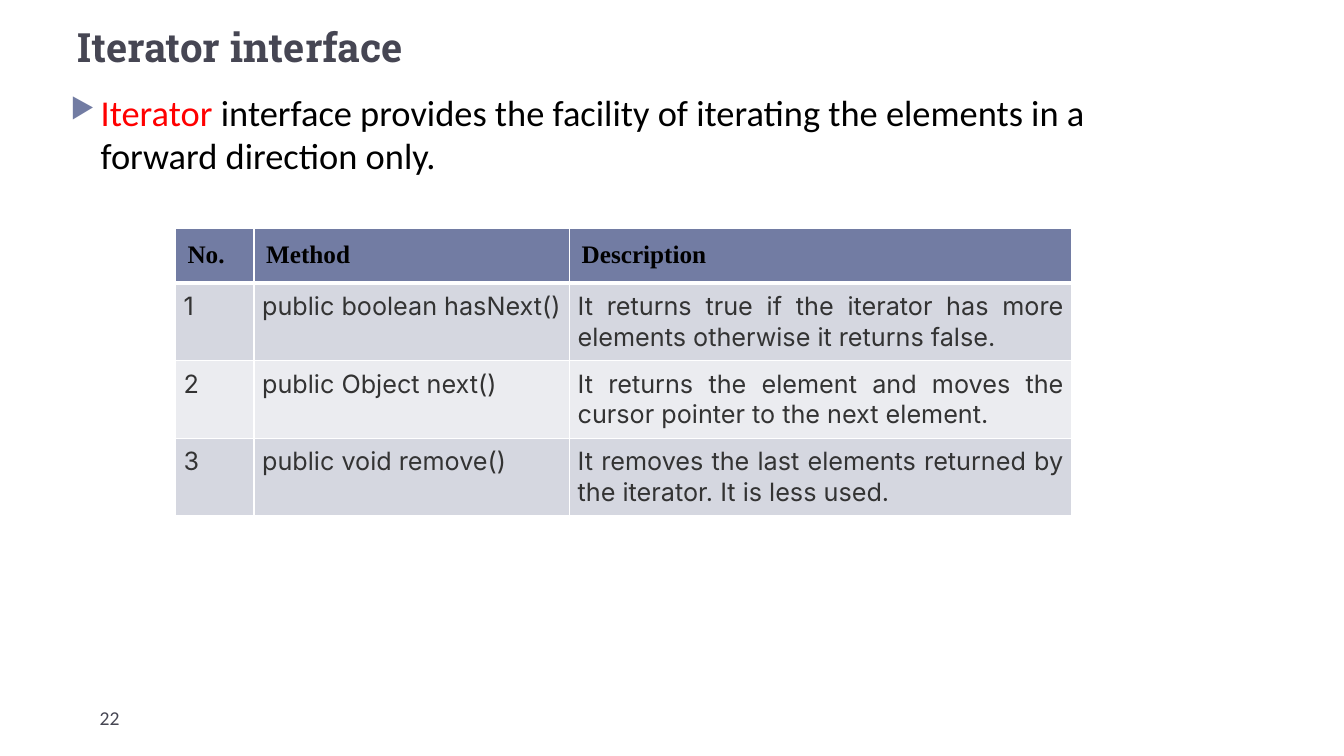
from lxml.etree import SubElement
from pptx import Presentation
from pptx.dml.color import RGBColor
from pptx.enum.text import MSO_ANCHOR as Anchor, PP_ALIGN as Align
from pptx.oxml.ns import qn
from pptx.util import Inches, Pt

INK = "464653"
ACCENT = "727CA3"
WHITE = "FFFFFF"
BANDS = ("D5D7E0", "EBECF0")
COLUMNS = (0.78, 3.13, 4.98)
HEADER_HEIGHT = 0.52
ROW_HEIGHT = 0.77
METHODS = (
    ("No.", "Method", "Description"),
    ("1", "public boolean hasNext()",
     "It returns true if the iterator has more elements otherwise it returns false."),
    ("2", "public Object next()",
     "It returns the element and moves the cursor pointer to the next element."),
    ("3", "public void remove()",
     "It removes the last elements returned by the iterator. It is less used."),
)


def rgb(color):
    return RGBColor.from_string(color)


def write(paragraph, text, size=18, font="Calibri", color="000000", bold=False):
    run = paragraph.add_run()
    run.text = text
    run.font.size = Pt(size)
    run.font.name = font
    run.font.bold = bold
    run.font.color.rgb = rgb(color)


def add_text(slide, left, top, width, height):
    frame = slide.shapes.add_textbox(
        Inches(left), Inches(top), Inches(width), Inches(height)).text_frame
    frame.word_wrap = True
    return frame.paragraphs[0]


def add_bullet(paragraph, symbol, color, percent, indent):
    paragraph.space_before = Pt(6)
    props = paragraph._p.get_or_add_pPr()
    props.set("marL", str(Inches(indent)))
    props.set("indent", str(-Inches(indent)))
    bullet_color = SubElement(props, qn("a:buClr"))
    SubElement(bullet_color, qn("a:srgbClr"), val=color)
    SubElement(props, qn("a:buSzPct"), val=str(percent * 1000))
    SubElement(props, qn("a:buChar"), char=symbol)


def add_borders(cell, color, bottom):
    props = cell._tc.get_or_add_tcPr()
    widths = {"a:lnL": 1, "a:lnR": 1, "a:lnT": 1, "a:lnB": bottom}
    for position, (side, width) in enumerate(widths.items()):
        line = SubElement(props, qn(side), w=str(Pt(width)))
        fill = SubElement(line, qn("a:solidFill"))
        SubElement(fill, qn("a:srgbClr"), val=color)
        props.insert(position, line)


def fill_cell(cell, text, row):
    header = row == 0
    inset = Inches(0.12 if header else 0.08)
    cell.margin_left = cell.margin_right = inset
    cell.margin_top = cell.margin_bottom = inset
    cell.vertical_anchor = Anchor.TOP
    cell.fill.solid()
    cell.fill.fore_color.rgb = rgb(ACCENT if header else BANDS[(row - 1) % 2])
    add_borders(cell, WHITE, bottom=3 if header else 1)
    paragraph = cell.text_frame.paragraphs[0]
    if header:
        write(paragraph, text, font="Times New Roman", bold=True)
    else:
        paragraph.alignment = Align.JUSTIFY
        write(paragraph, text, font="Inter", color="333333")


def add_methods(slide, left, top):
    height = HEADER_HEIGHT + ROW_HEIGHT * (len(METHODS) - 1)
    table = slide.shapes.add_table(
        len(METHODS), len(COLUMNS), Inches(left), Inches(top),
        Inches(sum(COLUMNS)), Inches(height)).table
    for column, width in zip(table.columns, COLUMNS):
        column.width = Inches(width)
    for row, texts in enumerate(METHODS):
        table.rows[row].height = Inches(ROW_HEIGHT if row else HEADER_HEIGHT)
        for column, text in enumerate(texts):
            fill_cell(table.cell(row, column), text, row)


def main():
    deck = Presentation()
    deck.slide_width = Inches(13.33)
    deck.slide_height = Inches(7.5)
    slide = deck.slides.add_slide(deck.slide_layouts[6])

    title = add_text(slide, 0.67, 0.17, 12, 1.08)
    write(title, "Iterator interface", size=28.8, font="Roboto Slab", color=INK, bold=True)

    page_number = add_text(slide, 0.89, 6.95, 2.89, 0.4)
    write(page_number, "22", size=14, color=INK)

    summary = add_text(slide, 0.6, 0.84, 11.3, 5.51)
    add_bullet(summary, "▶", ACCENT, percent=76, indent=0.3)
    write(summary, "Iterator", size=26, color="FF0000")
    write(summary, " interface provides the facility of iterating the elements "
          "in a forward direction only.", size=26)

    add_methods(slide, 1.74, 2.27)
    deck.save("out.pptx")


if __name__ == "__main__":
    main()
